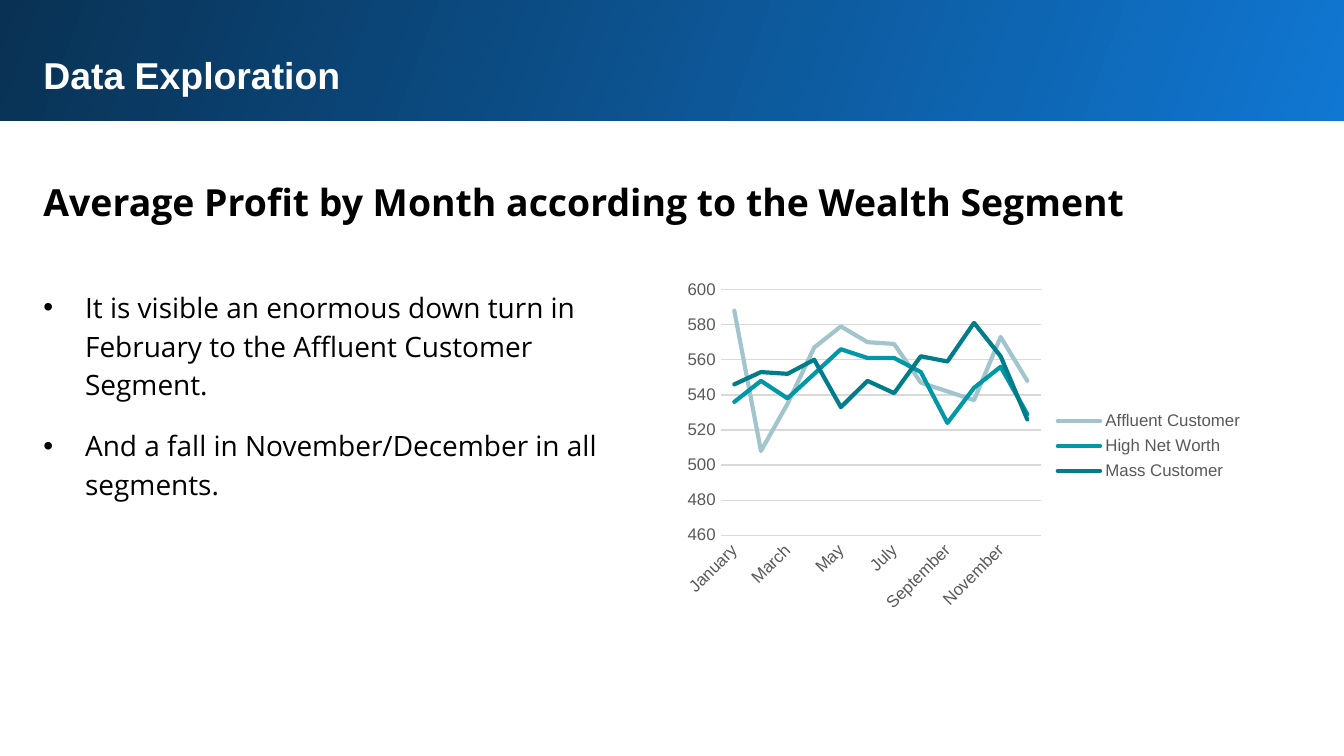
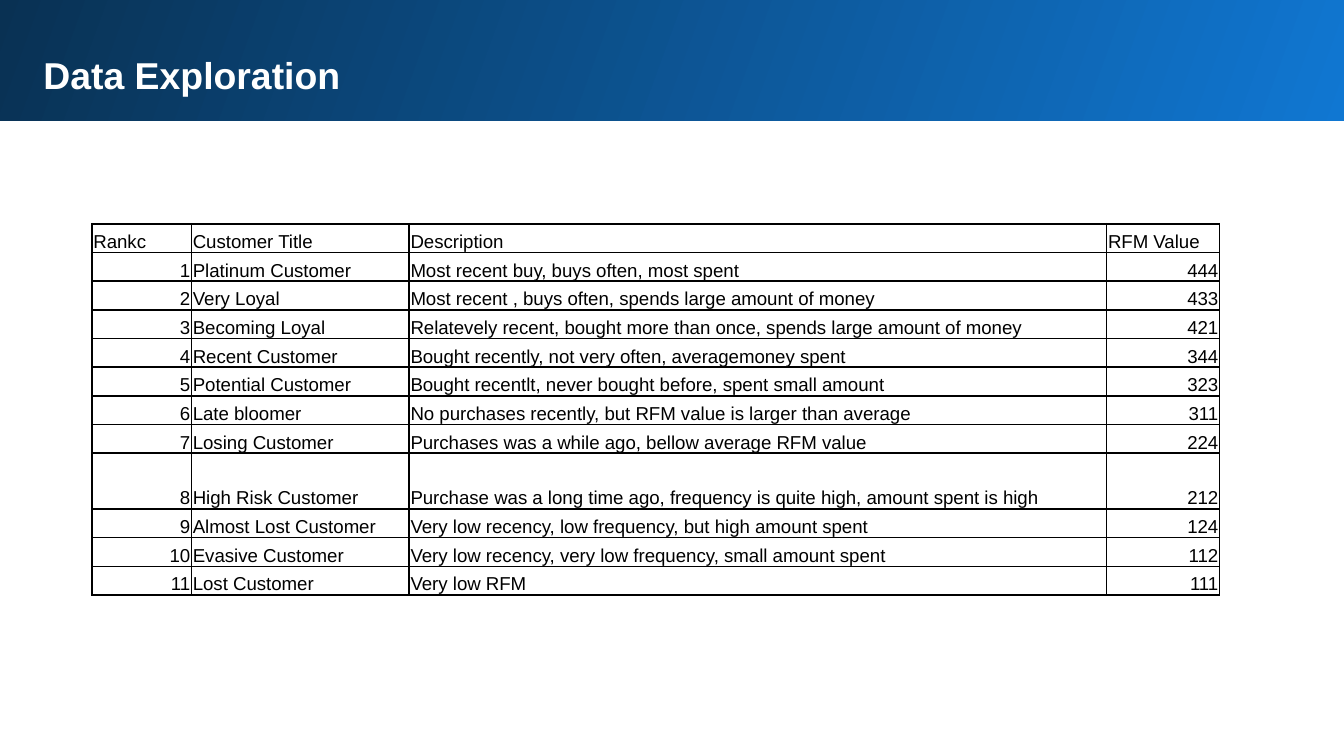
import pptx
import pptx.chart.data
import pptx.dml.color
import pptx.enum.chart
import pptx.enum.shapes
import pptx.enum.text
import pptx.oxml
import pptx.oxml.ns
import pptx.util

PX = 4572
SANS = "Arial"
OPEN = "Open Sans"
BLACK = "000000"
WHITE = "FFFFFF"
GREY = "595959"
RULE = "D9D9D9"
BLUE = "1077D2"
NAVY = "093153"
NS = pptx.oxml.ns.nsdecls("a")


def paint(color, code):
    color.rgb = pptx.dml.color.RGBColor.from_string(code)


def style(font, size, face, code, bold=False):
    font.size = pptx.util.Pt(size)
    font.name = face
    font.bold = bold
    paint(font.color, code)


deck = pptx.Presentation()
deck.slide_width = 2000 * PX
deck.slide_height = 1125 * PX

head = (["Data Exploration"], 58, 1874, 108, 20, SANS, WHITE, 1.0)
topic = (["Average Profit by Month according to the Wealth Segment"],
         237, 1874, 112, 20, OPEN, BLACK, 1.15)
notes = ([
    "It is visible an enormous down turn in February to the Affluent Customer Segment.",
    "And a fall in November/December in all segments.",
], 405, 904, 360, 15, OPEN, BLACK, 1.15)

pages = []
for texts in [[head, topic, notes], [head]]:
    page = deck.slides.add_slide(deck.slide_layouts[6])
    pages.append(page)
    band = page.shapes.add_shape(
        pptx.enum.shapes.MSO_SHAPE.RECTANGLE, -4 * PX, -4 * PX, 2010 * PX, 184 * PX)
    band.shadow.inherit = False
    band.line.fill.background()
    band.fill.gradient()
    band.fill.gradient_angle = 160
    for stop, code in zip(band.fill.gradient_stops, [BLUE, NAVY]):
        paint(stop.color, code)
    for words, top, wide, high, size, face, code, space in texts:
        box = page.shapes.add_textbox(45 * PX, top * PX, wide * PX, high * PX)
        frame = box.text_frame
        frame.word_wrap = True
        frame.auto_size = pptx.enum.text.MSO_AUTO_SIZE.SHAPE_TO_FIT_TEXT
        frame.margin_left = frame.margin_right = 20 * PX
        frame.margin_top = frame.margin_bottom = 20 * PX
        for spot, text in enumerate(words):
            para = frame.add_paragraph() if spot else frame.paragraphs[0]
            para.line_spacing = space
            if len(words) > 1:
                para.space_after = pptx.util.Pt(12)
                props = para._p.get_or_add_pPr()
                props.set("marL", str(62 * PX))
                props.set("indent", str(-62 * PX))
                props.append(pptx.oxml.parse_xml(f'<a:buFont {NS} typeface="Arial"/>'))
                props.append(pptx.oxml.parse_xml(f'<a:buChar {NS} char="•"/>'))
            run = para.add_run()
            run.text = text
            style(run.font, size, face, code, size == 20)

trend, ranks = pages

lines = [
    ("Affluent Customer", "A2C4CC", [588, 508, 535, 567, 579, 570, 569, 547, 542, 537, 573, 548]),
    ("High Net Worth", "0097A7", [536, 548, 538, 552, 566, 561, 561, 553, 524, 544, 556, 529]),
    ("Mass Customer", "007D8A", [546, 553, 552, 560, 533, 548, 541, 562, 559, 581, 562, 526]),
]
data = pptx.chart.data.CategoryChartData()
data.categories = [
    "January", "February", "March", "April", "May", "June", "July",
    "August", "September", "October", "November", "December",
]
for name, code, vals in lines:
    data.add_series(name, vals)
chart = trend.shapes.add_chart(
    pptx.enum.chart.XL_CHART_TYPE.LINE, 1002 * PX, 406 * PX, 868 * PX, 516 * PX, data).chart
style(chart.font, 10, SANS, BLACK)
chart.has_title = False
chart.has_legend = True
chart.legend.position = pptx.enum.chart.XL_LEGEND_POSITION.RIGHT
chart.legend.include_in_layout = False
style(chart.legend.font, 9, SANS, GREY)
plot = chart.plots[0]
plot.vary_by_categories = False
for line, (name, code, vals) in zip(plot.series, lines):
    line.smooth = False
    line.marker.style = pptx.enum.chart.XL_MARKER_STYLE.NONE
    line.format.line.width = pptx.util.Pt(2.25)
    paint(line.format.line.color, code)
    edge = line._element.find(".//" + pptx.oxml.ns.qn("a:ln"))
    edge.set("cap", "rnd")
    edge.append(pptx.oxml.parse_xml(f"<a:round {NS}/>"))
months = chart.category_axis
scale = chart.value_axis
for axis in [months, scale]:
    axis.major_tick_mark = pptx.enum.chart.XL_TICK_MARK.NONE
    axis.minor_tick_mark = pptx.enum.chart.XL_TICK_MARK.NONE
    style(axis.tick_labels.font, 9, SANS, GREY)
body = months._element.find(".//" + pptx.oxml.ns.qn("a:bodyPr"))
body.set("rot", "-2700000")
body.set("vert", "horz")
scale.minimum_scale = 460
scale.maximum_scale = 600
scale.major_unit = 20
scale.has_major_gridlines = True
scale.format.line.fill.background()
for rule in [months.format.line, scale.major_gridlines.format.line]:
    rule.width = pptx.util.Pt(0.75)
    paint(rule.color, RULE)

rows = [
    ("Rankc", "Customer Title", "Description", "RFM Value"),
    ("1", "Platinum Customer", "Most recent buy, buys often, most spent", "444"),
    ("2", "Very Loyal", "Most recent , buys often, spends large amount of money", "433"),
    ("3", "Becoming Loyal",
     "Relatevely recent, bought more than once, spends large amount of money", "421"),
    ("4", "Recent Customer", "Bought recently, not very often, averagemoney spent", "344"),
    ("5", "Potential Customer", "Bought recentlt, never bought before, spent small amount", "323"),
    ("6", "Late bloomer", "No purchases recently, but RFM value is larger than average", "311"),
    ("7", "Losing Customer", "Purchases was a while ago, bellow average RFM value", "224"),
    ("8", "High Risk Customer",
     "Purchase was a long time ago, frequency is quite high, amount spent is high", "212"),
    ("9", "Almost Lost Customer", "Very low recency, low frequency, but high amount spent", "124"),
    ("10", "Evasive Customer", "Very low recency, very low frequency, small amount spent", "112"),
    ("11", "Lost Customer", "Very low RFM", "111"),
]
grid = ranks.shapes.add_table(len(rows), 4, 137 * PX, 333 * PX, 1678 * PX, 553 * PX).table
grid.first_row = False
grid.horz_banding = False
for col, wide in zip(grid.columns, [148, 324, 1038, 168]):
    col.width = wide * PX
step = 470 * PX // (len(rows) - 1)
for down, row in enumerate(rows):
    grid.rows[down].height = 83 * PX if row[0] == "8" else step
    for over, text in enumerate(row):
        cell = grid.cell(down, over)
        cell.vertical_anchor = pptx.enum.text.MSO_ANCHOR.BOTTOM
        cell.margin_left = cell.margin_right = cell.margin_top = 2 * PX
        cell.margin_bottom = 0
        props = cell._tc.get_or_add_tcPr()
        for side in ["lnL", "lnR", "lnT", "lnB"]:
            props.append(pptx.oxml.parse_xml(
                f'<a:{side} {NS} w="12700"><a:solidFill><a:srgbClr val="{BLACK}"/>'
                f'</a:solidFill></a:{side}>'))
        cell.fill.background()
        para = cell.text_frame.paragraphs[0]
        if down and over in (0, 3):
            para.alignment = pptx.enum.text.PP_ALIGN.RIGHT
        run = para.add_run()
        run.text = text
        style(run.font, 10, SANS, BLACK)

deck.save("out.pptx")
